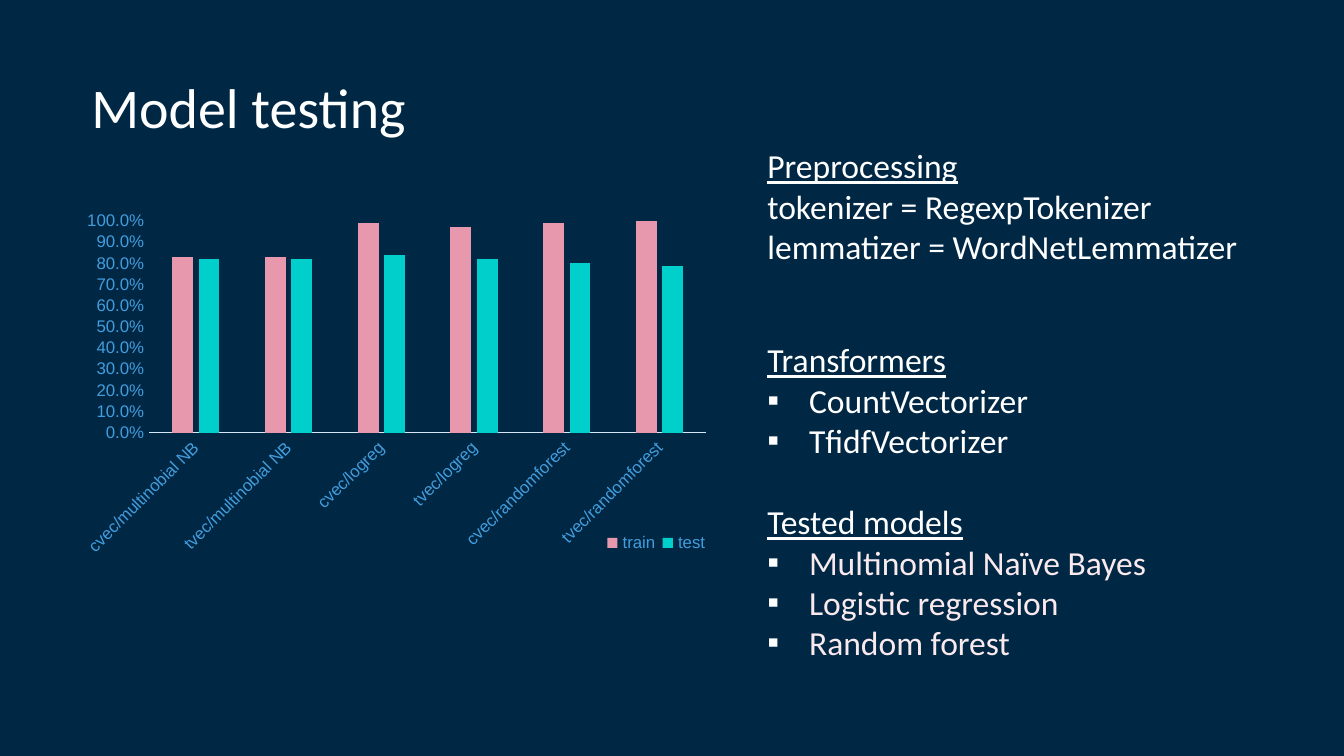
from dataclasses import dataclass

from lxml import etree
from pptx import Presentation
from pptx.chart.data import CategoryChartData
from pptx.dml.color import RGBColor
from pptx.enum.chart import XL_CHART_TYPE, XL_LEGEND_POSITION, XL_TICK_MARK
from pptx.enum.text import MSO_ANCHOR, MSO_AUTO_SIZE, PP_ALIGN
from pptx.oxml.ns import qn
from pptx.util import Inches, Pt

COLUMNS = XL_CHART_TYPE.COLUMN_CLUSTERED
LEGEND_BOTTOM = XL_LEGEND_POSITION.BOTTOM
NO_TICK = XL_TICK_MARK.NONE
BOTTOM = MSO_ANCHOR.BOTTOM
NO_FIT = MSO_AUTO_SIZE.NONE
LEFT = PP_ALIGN.LEFT

# Grid of square cells: 100 columns by 56.25 rows
CELL = Inches(0.1)
PAGE_COLUMNS, PAGE_ROWS = 100, 56.25
TWO_CONTENT_LAYOUT = 3


@dataclass(frozen=True)
class Theme:
    background: str = "002845"
    text: str = "FFFFFF"
    soft_text: str = "FAEAEE"
    chart_text: str = "1A5E8F"
    axis_text: str = "439DDD"
    axis_line: str = "D4E8F7"
    train: str = "E898AC"
    test: str = "00CFCC"
    text_font: str = "Calibri"
    chart_font: str = "Arial"
    title_size: int = 30
    body_size: int = 18
    chart_size: int = 10
    axis_size: int = 9
    paragraph_gap: int = 22


@dataclass(frozen=True)
class Box:
    left: float
    top: float
    width: float
    height: float

    def lengths(self):
        return [round(n * CELL) for n in (self.left, self.top, self.width, self.height)]


THEME = Theme()

CATEGORIES = [f"{vectorizer}/{model}"
              for model in ("multinobial NB", "logreg", "randomforest")
              for vectorizer in ("cvec", "tvec")]
SERIES = [
    ("train", (0.83, 0.83, 0.99, 0.97, 0.99, 1), THEME.train),
    ("test", (0.82, 0.82, 0.84, 0.82, 0.8, 0.79), THEME.test),
]
PREPROCESSING = ("Preprocessing", ["tokenizer = RegexpTokenizer",
                                   "lemmatizer = WordNetLemmatizer"])
SECTIONS = [
    ("Transformers", ["CountVectorizer", "TfidfVectorizer"], THEME.text),
    ("Tested models", ["Multinomial Naïve Bayes", "Logistic regression",
                       "Random forest"], THEME.soft_text),
]


def format_font(font, size, color, name):
    font.size = Pt(size)
    font.name = name
    font.color.rgb = RGBColor.from_string(color)


def add_text(para, text, size=THEME.body_size, color=THEME.text, underline=False):
    span = para.add_run()
    span.text = text
    format_font(span.font, size, color, THEME.text_font)
    span.font.underline = underline


def format_para(para, bullet=False, space_before=0):
    properties = para._p.get_or_add_pPr()
    indent = Inches(0.31) if bullet else 0
    properties.set("marL", str(indent))
    properties.set("indent", str(-indent))
    if bullet:
        color = etree.SubElement(properties, qn("a:buClr"))
        etree.SubElement(color, qn("a:srgbClr"), val=THEME.text)
        etree.SubElement(properties, qn("a:buFont"), typeface=THEME.chart_font)
        etree.SubElement(properties, qn("a:buChar"), char="▪")
    else:
        etree.SubElement(properties, qn("a:buNone"))
    para.alignment = LEFT
    para.space_before = Pt(space_before)
    para.space_after = Pt(0)
    para.line_spacing = 1.0


def place_frame(holder, box, bottom_margin=1):
    holder.left, holder.top, holder.width, holder.height = box.lengths()
    frame = holder.text_frame
    frame.word_wrap = True
    frame.auto_size = NO_FIT
    frame.vertical_anchor = BOTTOM
    frame.margin_left = frame.margin_right = frame.margin_top = CELL
    frame.margin_bottom = bottom_margin * CELL
    return frame


def fill_title(holder, box):
    para = place_frame(holder, box).paragraphs[0]
    format_para(para)
    add_text(para, "Model testing", size=THEME.title_size)


def fill_preprocessing(holder, box):
    para = place_frame(holder, box).paragraphs[0]
    format_para(para)
    heading, lines = PREPROCESSING
    add_text(para, heading, underline=True)
    for line in lines:
        para.add_line_break()
        add_text(para, line)


def fill_sections(holder, box):
    frame = place_frame(holder, box, bottom_margin=4)
    for number, (heading, items, color) in enumerate(SECTIONS):
        para = frame.add_paragraph() if number else frame.paragraphs[0]
        format_para(para, space_before=THEME.paragraph_gap if number else 0)
        add_text(para, heading, underline=True)
        for item in items:
            para = frame.add_paragraph()
            format_para(para, bullet=True)
            add_text(para, item, color=color)


def manual_layout(shares, inner=False):
    """Layout element from left, top, width and height as shares of the chart."""
    layout = etree.Element(qn("c:layout"))
    manual = etree.SubElement(layout, qn("c:manualLayout"))
    if inner:
        etree.SubElement(manual, qn("c:layoutTarget"), val="inner")
    for side in ("xMode", "yMode"):
        etree.SubElement(manual, qn(f"c:{side}"), val="edge")
    for side, share in zip("xywh", shares):
        etree.SubElement(manual, qn(f"c:{side}"), val=str(share))
    return layout


def add_score_chart(page, box):
    data = CategoryChartData(number_format="0.0%")
    data.categories = CATEGORIES
    for name, values, _ in SERIES:
        data.add_series(name, values)
    chart = page.shapes.add_chart(COLUMNS, *box.lengths(), data).chart
    chart.has_title = False
    format_font(chart.font, THEME.chart_size, THEME.chart_text, THEME.chart_font)

    # Columns
    plot = chart.plots[0]
    plot.vary_by_categories = False
    plot.gap_width, plot.overlap = 219, -27
    for series, (_, _, color) in zip(plot.series, SERIES):
        series.format.fill.solid()
        series.format.fill.fore_color.rgb = RGBColor.from_string(color)

    # Axes
    names, scores = chart.category_axis, chart.value_axis
    for axis in (names, scores):
        axis.has_major_gridlines = False
        axis.major_tick_mark = axis.minor_tick_mark = NO_TICK
        format_font(axis.tick_labels.font, THEME.axis_size, THEME.axis_text, THEME.chart_font)
    names.format.line.color.rgb = RGBColor.from_string(THEME.axis_line)
    names.format.line.width = Pt(0.75)
    names._element.find(qn("c:txPr")).find(qn("a:bodyPr")).set("rot", str(-45 * 60000))
    scores.format.line.fill.background()
    scores.minimum_scale, scores.maximum_scale, scores.major_unit = 0, 1, 0.1
    scores.tick_labels.number_format = "0.0%"
    scores.tick_labels.number_format_is_linked = False

    # Legend and plot area positions
    chart.has_legend = True
    legend = chart.legend
    legend.position = LEGEND_BOTTOM
    legend.include_in_layout = False
    format_font(legend.font, THEME.axis_size, THEME.axis_text, THEME.chart_font)
    legend._element.find(qn("c:legendPos")).addnext(manual_layout((0.79, 0.91, 0.17, 0.07)))
    area = chart._chartSpace.chart.plotArea
    for layout in area.findall(qn("c:layout")):
        area.remove(layout)
    area.insert(0, manual_layout((0.11, 0.17, 0.84, 0.51), inner=True))


def main():
    deck = Presentation()
    deck.slide_width = PAGE_COLUMNS * CELL
    deck.slide_height = round(PAGE_ROWS * CELL)
    page = deck.slides.add_slide(deck.slide_layouts[TWO_CONTENT_LAYOUT])
    page.background.fill.solid()
    page.background.fill.fore_color.rgb = RGBColor.from_string(THEME.background)

    title, preprocessing, sections = page.placeholders
    fill_preprocessing(preprocessing, Box(56.1, -1.5, 54.5, 22.3))
    fill_sections(sections, Box(56.1, 9.7, 79.1, 43.6))
    add_score_chart(page, Box(5.7, 11.2, 49.3, 30.9))
    fill_title(title, Box(5.8, 2.5, 90.1, 8.9))
    deck.save("out.pptx")


if __name__ == "__main__":
    main()
